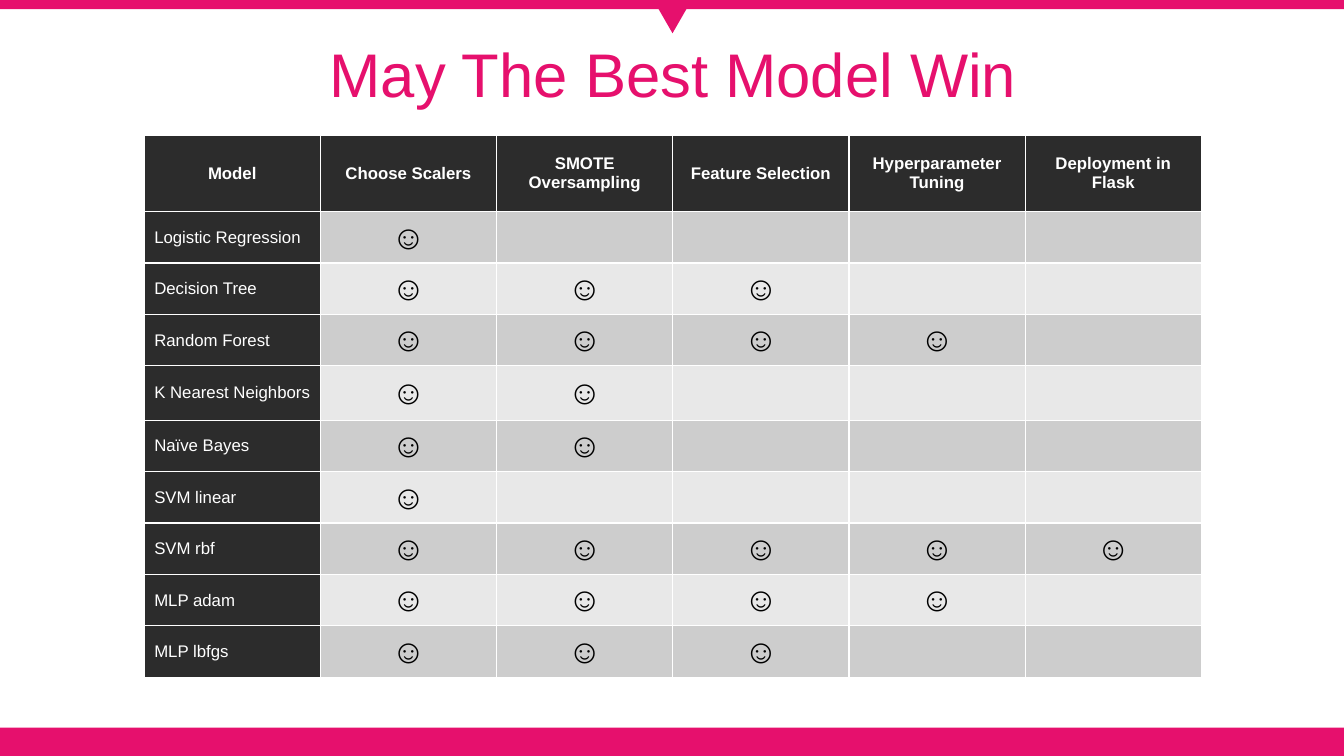
from dataclasses import dataclass

from pptx import Presentation
from pptx.dml.color import RGBColor
from pptx.enum.shapes import MSO_SHAPE
from pptx.enum.text import MSO_ANCHOR, PP_ALIGN
from pptx.slide import Slide
from pptx.table import _Cell
from pptx.util import Inches, Pt

RECTANGLE = MSO_SHAPE.RECTANGLE
TRIANGLE = MSO_SHAPE.ISOSCELES_TRIANGLE
MIDDLE = MSO_ANCHOR.MIDDLE
LEFT, CENTER = PP_ALIGN.LEFT, PP_ALIGN.CENTER


@dataclass(frozen=True)
class Theme:
    font: str = "Arial"
    accent: RGBColor = RGBColor(0xE6, 0x10, 0x6D)
    dark: RGBColor = RGBColor(0x2C, 0x2C, 0x2C)
    odd_band: RGBColor = RGBColor(0xCD, 0xCD, 0xCD)
    even_band: RGBColor = RGBColor(0xE8, 0xE8, 0xE8)
    white: RGBColor = RGBColor(0xFF, 0xFF, 0xFF)
    black: RGBColor = RGBColor(0, 0, 0)
    title_size: int = 44
    label_size: int = 12
    mark_size: int = 24


@dataclass(frozen=True)
class Decoration:
    kind: MSO_SHAPE
    left: float
    top: float
    width: float
    height: float
    rotation: int = 0


@dataclass(frozen=True)
class ModelProgress:
    name: str
    stages_passed: int
    row_height: float = 0.51


THEME = Theme()
SLIDE_WIDTH, SLIDE_HEIGHT = 13.33, 7.5
COLUMN_WIDTH = 1.748
HEADER_HEIGHT = 0.76
MARK = "☺"

DECORATIONS = [
    Decoration(RECTANGLE, 0, 7.22, SLIDE_WIDTH, 0.3),
    Decoration(RECTANGLE, 0, 0, SLIDE_WIDTH, 0.09),
    Decoration(TRIANGLE, 6.48, 0, 0.38, 0.33, rotation=180),
]
HEADERS = ["Model", "Choose Scalers", "SMOTE Oversampling", "Feature Selection",
           "Hyperparameter Tuning", "Deployment in Flask"]
MODELS = [
    ModelProgress("Logistic Regression", 1),
    ModelProgress("Decision Tree", 3),
    ModelProgress("Random Forest", 4),
    ModelProgress("K Nearest Neighbors", 2, row_height=0.54),
    ModelProgress("Naïve Bayes", 2),
    ModelProgress("SVM linear", 1),
    ModelProgress("SVM rbf", 5),
    ModelProgress("MLP adam", 4),
    ModelProgress("MLP lbfgs", 3),
]


def add_decoration(slide: Slide, decoration: Decoration) -> None:
    shape = slide.shapes.add_shape(
        decoration.kind, Inches(decoration.left), Inches(decoration.top),
        Inches(decoration.width), Inches(decoration.height))
    shape.rotation = decoration.rotation
    shape.shadow.inherit = False
    shape.fill.solid()
    shape.fill.fore_color.rgb = THEME.accent
    shape.line.fill.background()


def add_title(slide: Slide, text: str) -> None:
    title = slide.shapes.add_textbox(Inches(0.35), Inches(0.37), Inches(12.66), Inches(0.79))
    text_frame = title.text_frame
    text_frame.word_wrap = True
    text_frame.vertical_anchor = MIDDLE
    text_frame.text = text
    paragraph = text_frame.paragraphs[0]
    paragraph.alignment = CENTER
    paragraph.line_spacing = 0.9
    font = paragraph.runs[0].font
    font.name = THEME.font
    font.size = Pt(THEME.title_size)
    font.color.rgb = THEME.accent


def fill_cell(cell: _Cell, fill: RGBColor, text: str = "", size: int = THEME.label_size,
              color: RGBColor = THEME.white, alignment: PP_ALIGN = CENTER,
              bold: bool = False) -> None:
    cell.fill.solid()
    cell.fill.fore_color.rgb = fill
    cell.vertical_anchor = MIDDLE
    cell.text_frame.text = text
    paragraph = cell.text_frame.paragraphs[0]
    paragraph.alignment = alignment
    for run in paragraph.runs:
        run.font.name = THEME.font
        run.font.size = Pt(size)
        run.font.color.rgb = color
        run.font.bold = bold


def add_progress_table(slide: Slide) -> None:
    """Mark every stage that each model reached; the default style draws the white borders."""
    heights = [HEADER_HEIGHT] + [model.row_height for model in MODELS]
    table = slide.shapes.add_table(
        len(heights), len(HEADERS), Inches(1.43), Inches(1.34),
        Inches(COLUMN_WIDTH * len(HEADERS)), Inches(sum(heights))).table
    for column in table.columns:
        column.width = Inches(COLUMN_WIDTH)
    for row, height in zip(table.rows, heights):
        row.height = Inches(height)

    for column_index, header in enumerate(HEADERS):
        fill_cell(table.cell(0, column_index), THEME.dark, header, bold=True)
    for row_index, model in enumerate(MODELS, start=1):
        band = THEME.odd_band if row_index % 2 else THEME.even_band
        fill_cell(table.cell(row_index, 0), THEME.dark, model.name, alignment=LEFT)
        for stage in range(1, len(HEADERS)):
            mark = MARK if stage <= model.stages_passed else ""
            fill_cell(table.cell(row_index, stage), band, mark, THEME.mark_size, THEME.black)


def main() -> None:
    presentation = Presentation()
    presentation.slide_width = Inches(SLIDE_WIDTH)
    presentation.slide_height = Inches(SLIDE_HEIGHT)
    slide = presentation.slides.add_slide(presentation.slide_layouts[6])
    for decoration in DECORATIONS:
        add_decoration(slide, decoration)
    add_title(slide, "May The Best Model Win")
    add_progress_table(slide)
    presentation.save("out.pptx")


if __name__ == "__main__":
    main()
